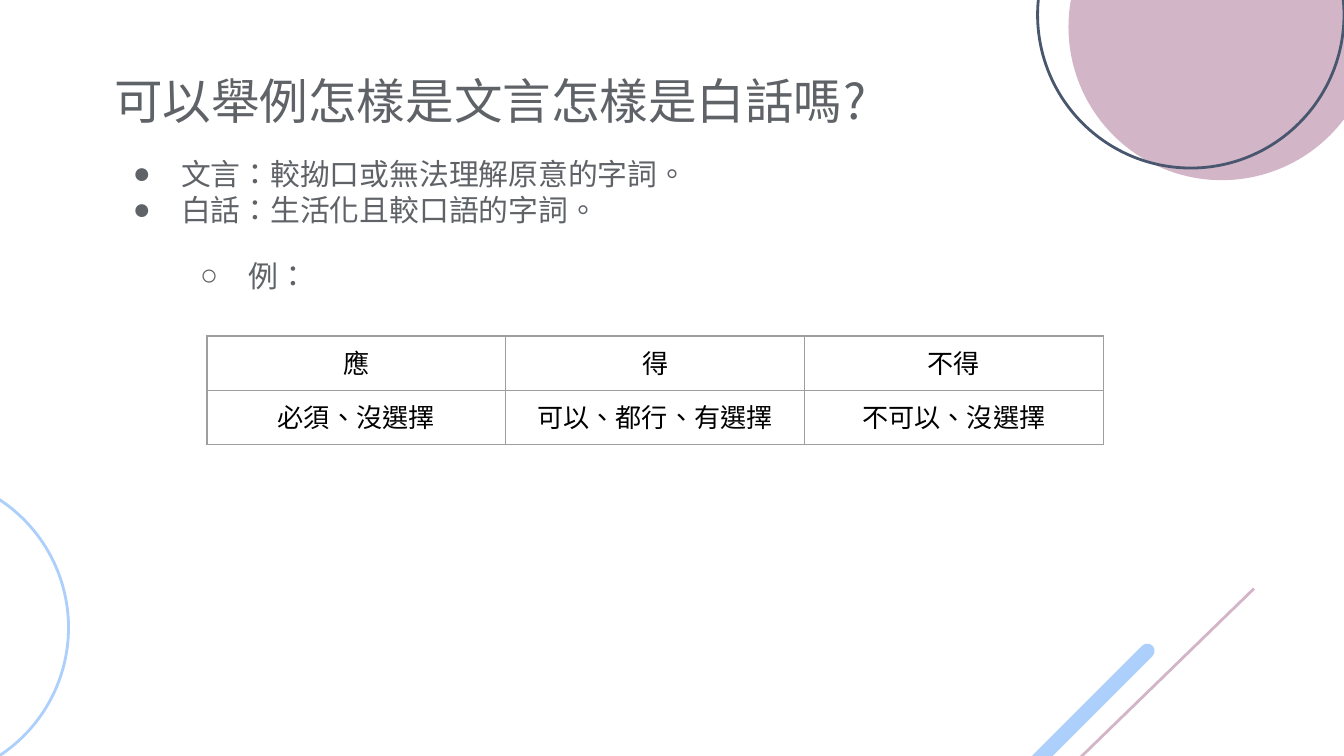
from lxml import etree
from pptx import Presentation
from pptx.dml.color import RGBColor
from pptx.enum.shapes import MSO_CONNECTOR, MSO_SHAPE
from pptx.enum.text import MSO_ANCHOR, PP_ALIGN
from pptx.oxml.ns import qn
from pptx.util import Inches, Pt

ELLIPSE, BAR = MSO_SHAPE.OVAL, MSO_SHAPE.ROUND_2_SAME_RECTANGLE
STRAIGHT = MSO_CONNECTOR.STRAIGHT
LEFT, CENTER = PP_ALIGN.LEFT, PP_ALIGN.CENTER
TOP, BOTTOM = MSO_ANCHOR.TOP, MSO_ANCHOR.BOTTOM
FONT, BULLET_FONT = "Noto Sans CJK SC", "Arial"
COLORS = {"text": "5F6368", "cell": "000000", "border": "9E9E9E",
          "pink": "D3B5C8", "navy": "49576E", "blue": "ACCFFB"}
WIDTH = 10
HEIGHT = WIDTH * 9 / 16
CIRCLE = 2.28
MARGIN = 0.75

TITLE = "可以舉例怎樣是文言怎樣是白話嗎?"
BULLETS = [(0, "文言：較拗口或無法理解原意的字詞。"),
           (0, "白話：生活化且較口語的字詞。"),
           (1, "例：")]
EXAMPLES = [("應", "得", "不得"),
            ("必須、沒選擇", "可以、都行、有選擇", "不可以、沒選擇")]


def rgb(name):
    return RGBColor.from_string(COLORS[name])


def inches(box):
    return [Inches(value) for value in box]


def format_runs(para, size, color):
    for span in para.runs:
        span.font.size = Pt(size)
        span.font.name = FONT
        span.font.color.rgb = rgb(color)
        properties = span._r.get_or_add_rPr()
        properties.set("lang", "zh-TW")
        etree.SubElement(properties, qn("a:ea")).set("typeface", FONT)


def set_frame(frame, anchor):
    frame.word_wrap = True
    frame.vertical_anchor = anchor
    frame.margin_left = frame.margin_right = Inches(0.1)
    frame.margin_top = frame.margin_bottom = Inches(0.1)


def add_decoration(page, kind, box, rotation, fill=None, line=None):
    shape = page.shapes.add_shape(kind, *inches(box))
    shape.rotation = rotation
    shape.shadow.inherit = False
    if fill:
        shape.fill.solid()
        shape.fill.fore_color.rgb = rgb(fill)
    else:
        shape.fill.background()
    if line:
        shape.line.color.rgb = rgb(line)
        shape.line.width = Pt(1.5)
    else:
        shape.line.fill.background()
    return shape


def add_background(page):
    # Circles in the corners
    for left, top, fill, line in [(7.95, -0.94, "pink", None),
                                  (7.72, -1.03, None, "navy"),
                                  (-1.77, 3.53, None, "blue")]:
        add_decoration(page, ELLIPSE, (left, top, CIRCLE, CIRCLE), 180, fill, line)
    # Diagonal bar and line
    bar = add_decoration(page, BAR, (7.76, 4.49, 0.11, 2.15), 45, "blue")
    bar.adjustments[0], bar.adjustments[1] = 0.5, 0
    line = page.shapes.add_connector(STRAIGHT, *inches((7.12, 6.53, 9.33, 4.38)))
    line.line.color.rgb = rgb("pink")
    line.line.width = Pt(1.5)
    etree.SubElement(line._element.spPr, qn("a:effectLst"))


def add_title(page, box):
    title = page.shapes.title
    title.left, title.top, title.width, title.height = inches(box)
    set_frame(title.text_frame, BOTTOM)
    title.text_frame.text = TITLE
    para = title.text_frame.paragraphs[0]
    para.alignment = LEFT
    format_runs(para, 26, "text")


def set_bullet(para, level):
    properties = para._p.get_or_add_pPr()
    properties.set("marL", str(Inches(0.5 * (level + 1))))
    properties.set("indent", str(Inches(-0.36)))
    color = etree.SubElement(properties, qn("a:buClr"))
    etree.SubElement(color, qn("a:srgbClr")).set("val", COLORS["text"])
    etree.SubElement(properties, qn("a:buFont")).set("typeface", BULLET_FONT)
    etree.SubElement(properties, qn("a:buChar")).set("char", "●○"[level])


def add_bullets(page, box):
    frame = page.shapes.add_textbox(*inches(box)).text_frame
    set_frame(frame, TOP)
    frame.text = "\n".join(text for _, text in BULLETS)
    for para, (level, _) in zip(frame.paragraphs, BULLETS):
        para.level = level
        para.space_before = Pt(16 * level)
        set_bullet(para, level)
        format_runs(para, 16, "text")


def set_borders(cell):
    properties = cell._tc.get_or_add_tcPr()
    for index, side in enumerate(("lnL", "lnR", "lnT", "lnB")):
        line = etree.Element(qn("a:" + side), w=str(Pt(0.75)))
        fill = etree.SubElement(line, qn("a:solidFill"))
        etree.SubElement(fill, qn("a:srgbClr")).set("val", COLORS["border"])
        properties.insert(index, line)


def add_examples(page, box):
    rows, columns = len(EXAMPLES), len(EXAMPLES[0])
    table = page.shapes.add_table(rows, columns, *inches(box)).table
    table.first_row = table.horz_banding = False
    for row, texts in enumerate(EXAMPLES):
        for column, text in enumerate(texts):
            cell = table.cell(row, column)
            cell.fill.background()
            cell.margin_top = cell.margin_bottom = Inches(0.05)
            cell.text_frame.text = text
            para = cell.text_frame.paragraphs[0]
            para.alignment = CENTER
            format_runs(para, 14, "cell")
            set_borders(cell)


deck = Presentation()
deck.slide_width, deck.slide_height = Inches(WIDTH), Inches(HEIGHT)
page = deck.slides.add_slide(deck.slide_layouts.get_by_name("Title Only"))
add_background(page)
add_title(page, (MARGIN, 0.48, 6.81, 0.58))
add_bullets(page, (MARGIN, 1.06, 5.95, 2.37))
add_examples(page, (1.54, 2.5, 6.67, 0.81))
deck.save("out.pptx")
